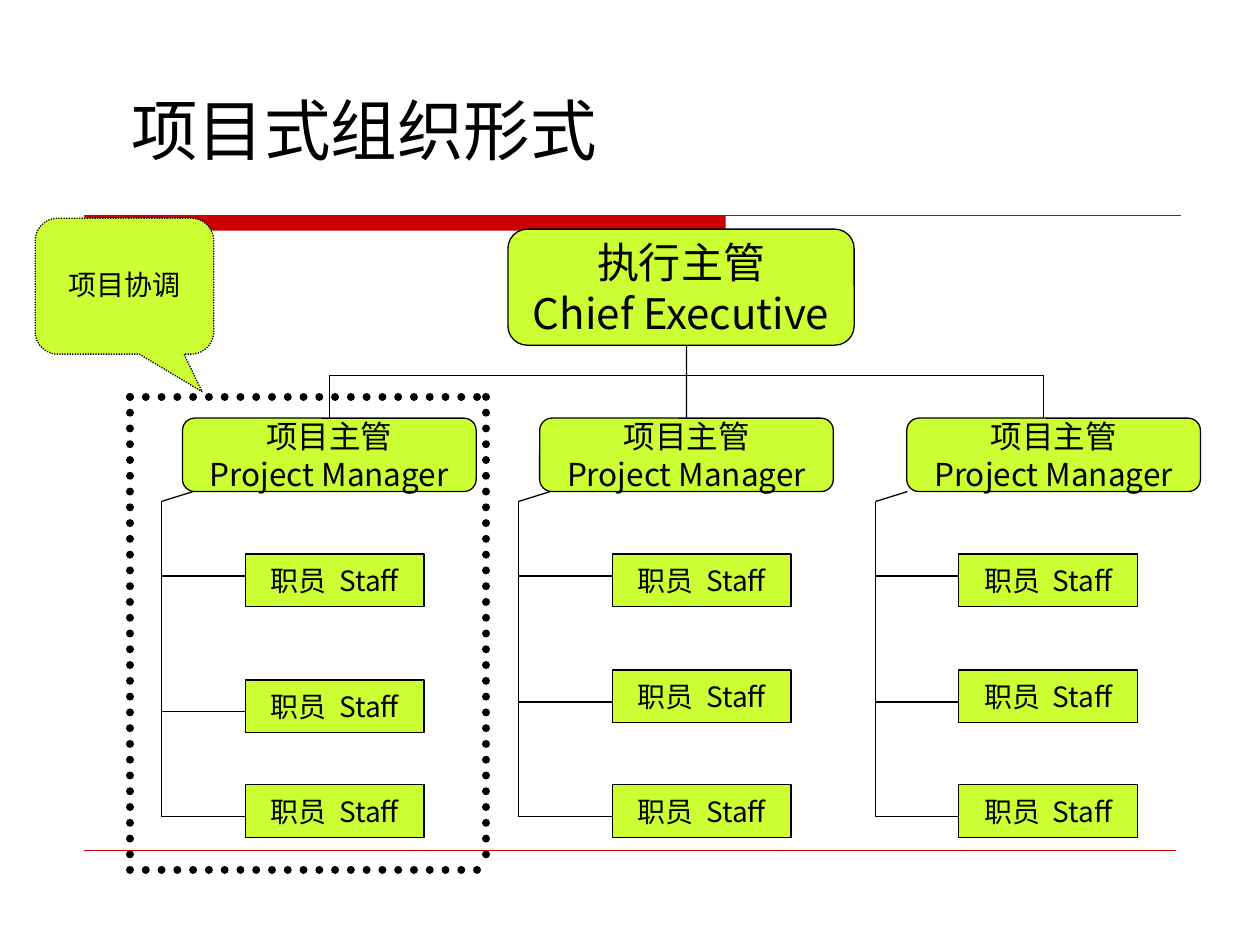
from pptx import Presentation
from pptx.dml.color import RGBColor
from pptx.enum.dml import MSO_LINE
from pptx.enum.shapes import MSO_CONNECTOR, MSO_SHAPE
from pptx.enum.text import MSO_ANCHOR, PP_ALIGN
from pptx.oxml.ns import qn
from pptx.util import Cm, Pt

COLORS = {"red": "CC0000", "lime": "CCFF33", "black": "000000"}
BODY_FONT = "Noto Sans CJK SC"
TITLE_FONT = "Noto Sans CJK JP"
TOP, BOTTOM = 0, 2


def color(name):
    return RGBColor.from_string(COLORS[name])


def add_span(para, text, size, font=BODY_FONT, spacing=None):
    span = para.add_run()
    span.text = text
    span.font.size = Pt(size)
    span.font.name = font
    span.font.color.rgb = color("black")
    properties = span.font._element
    properties.makeelement(qn("a:ea"), {})
    east_asian = properties.makeelement(qn("a:ea"), {"typeface": font})
    properties.find(qn("a:latin")).addnext(east_asian)
    if spacing:
        properties.set("spc", str(spacing))


def add_box(shapes, kind, left, top, width, height):
    box = shapes.add_shape(kind, Cm(left), Cm(top), Cm(width), Cm(height))
    box.shadow.inherit = False
    box.fill.solid()
    box.fill.fore_color.rgb = color("lime")
    box.line.color.rgb = color("black")
    box.line.width = Pt(0.75)
    frame = box.text_frame
    frame.word_wrap = False
    frame.vertical_anchor = MSO_ANCHOR.MIDDLE
    frame.paragraphs[0].alignment = PP_ALIGN.CENTER
    return box


def add_role(page, left, top, width, height, lines, size):
    box = add_box(page.shapes, MSO_SHAPE.ROUNDED_RECTANGLE, left, top, width, height)
    frame = box.text_frame
    for index, text in enumerate(lines):
        para = frame.add_paragraph() if index else frame.paragraphs[0]
        para.alignment = PP_ALIGN.CENTER
        add_span(para, text, size)
    return box


def add_line(page, x1, y1, x2, y2, width=0.75, name="black"):
    line = page.shapes.add_connector(
        MSO_CONNECTOR.STRAIGHT, Cm(x1), Cm(y1), Cm(x2), Cm(y2)
    )
    line.line.color.rgb = color(name)
    line.line.width = Pt(width)
    properties = line._element.spPr
    properties.append(properties.makeelement(qn("a:effectLst"), {}))
    return line


def add_heading(page, left, top, width, height):
    title = page.shapes.title
    title.left, title.top, title.width, title.height = map(Cm, (left, top, width, height))
    frame = title.text_frame
    frame.word_wrap = True
    frame.vertical_anchor = MSO_ANCHOR.BOTTOM
    para = frame.paragraphs[0]
    para.alignment = PP_ALIGN.LEFT
    add_span(para, "项目式组织形式", 38, TITLE_FONT)


def add_rules(page, left, top, width, height):
    bar = add_box(page.shapes, MSO_SHAPE.RECTANGLE, left, top, 12.93, 0.3)
    bar.fill.fore_color.rgb = color("red")
    bar.line.fill.background()
    add_line(page, left, top, left + width, top, 0.75, "red")
    add_line(page, left, top + height, left + width - 0.1, top + height, 0.25, "red")


def add_branch(page, left, top, manager_offset, staff_offset, middle_row):
    manager = add_role(
        page, left + manager_offset, top, 5.92, 1.48, ["项目主管", "Project Manager"], 18
    )
    trunk_top = top + 1.68
    add_line(page, left + 0.64, top + 1.48, left, trunk_top)
    add_line(page, left, trunk_top, left, top + 8.03)
    for row, drop in ((2.74, 0.44), (middle_row, 0.64), (7.39, 0.64)):
        staff_left, staff_top = left + staff_offset, top + row
        staff = add_box(page.shapes, MSO_SHAPE.RECTANGLE, staff_left, staff_top, 3.6, 1.06)
        para = staff.text_frame.paragraphs[0]
        add_span(para, "职员", 16)
        add_span(para, " ", 16, spacing=360)
        add_span(para, "Staff", 16)
        add_line(page, left, staff_top + drop, staff_left, staff_top + drop)
    return manager


def add_chart_tree(page, left, top):
    chief = add_role(
        page, left + 6.99, top, 6.98, 2.34, ["执行主管", "Chief Executive"], 24
    )
    branch_top = top + 3.81
    layouts = ((0.43, 1.7, 5.28), (0.43, 1.9, 5.08), (0.63, 1.68, 5.08))
    managers = [
        add_branch(page, left + 7.2 * column, branch_top, *layout)
        for column, layout in enumerate(layouts)
    ]
    bus = top + 2.95
    drops = [left + 3.39 + 7.2 * column for column in range(3)]
    add_line(page, drops[0], bus, drops[2], bus)
    first = add_line(page, drops[0], bus, drops[0], branch_top)
    first.end_connect(managers[0], TOP)
    middle = add_line(page, drops[1], top + 2.34, drops[1], branch_top)
    middle.end_connect(managers[1], TOP)
    add_line(page, drops[2], bus, drops[2], branch_top)


def add_dotted_frame(page, left, top, width, height):
    right, bottom = left + width, top + height
    for ends in (
        (right, top, right, bottom),
        (left, top, left, bottom),
        (left, top, right, top),
        (left, bottom, right, bottom),
    ):
        side = add_line(page, *ends, 4.5)
        side.line.dash_style = MSO_LINE.ROUND_DOT
        side.line._ln.set("cap", "rnd")


def add_callout(page, left, top, width, height):
    group = page.shapes.add_group_shape()
    bubble = add_box(
        group.shapes, MSO_SHAPE.ROUNDED_RECTANGULAR_CALLOUT, left, top, width, height
    )
    bubble.adjustments[0] = 0.435
    bubble.adjustments[1] = 0.777
    bubble.line.dash_style = MSO_LINE.ROUND_DOT
    label = add_box(group.shapes, MSO_SHAPE.RECTANGLE, left + 0.43, top + 0.86, 2.74, 0.94)
    label.line.fill.background()
    label.text_frame.vertical_anchor = MSO_ANCHOR.TOP
    para = label.text_frame.paragraphs[0]
    para.alignment = PP_ALIGN.LEFT
    add_span(para, "项目协调", 16)


def main():
    deck = Presentation()
    deck.slide_width, deck.slide_height = Cm(25.4), Cm(19.05)
    page = deck.slides.add_slide(deck.slide_layouts[5])
    add_rules(page, 1.7, 4.35, 22.1, 12.8)
    add_heading(page, 2.39, 0.84, 20.22, 2.69)
    add_chart_tree(page, 3.25, 4.62)
    add_dotted_frame(page, 2.62, 8, 7.18, 9.53)
    add_callout(page, 0.71, 4.4, 3.6, 2.74)
    deck.save("out.pptx")


if __name__ == "__main__":
    main()
